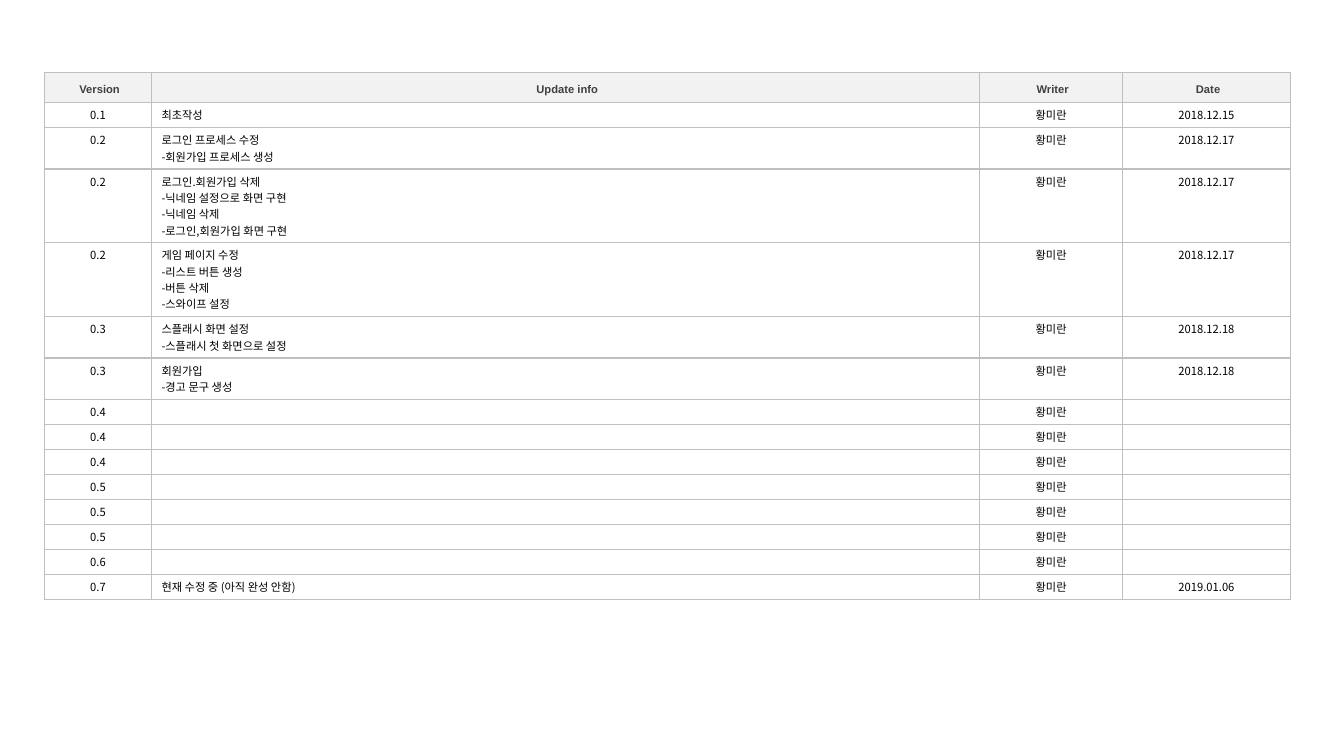
from dataclasses import dataclass

from lxml.etree import SubElement
from pptx import Presentation
from pptx.dml.color import RGBColor
from pptx.enum.text import MSO_ANCHOR as Anchor, PP_ALIGN as Align
from pptx.oxml.ns import qn
from pptx.table import _Cell as Cell
from pptx.util import Cm, Pt

COLORS = {"border": "BFBFBF", "header": "F2F2F2", "title": "404040", "body": "000000"}
BODY_FONT = "Noto Sans CJK KR"
LEFT, TOP = 1.12, 1.83
COLUMN_WIDTHS = [2.7, 20.87, 3.6, 4.23]
HEADER_HEIGHT, ROW_HEIGHT, EXTRA_LINE = 0.76, 0.63, 0.41
TITLES = ["Version", "Update info", "Writer", "Date"]
INFO_COLUMN = TITLES.index("Update info")


@dataclass
class Revision:
    version: str
    info: str = ""
    date: str = ""
    writer: str = "황미란"

    @property
    def values(self) -> list[str]:
        return [self.version, self.info, self.writer, self.date]

    @property
    def height(self) -> float:
        return ROW_HEIGHT + EXTRA_LINE * self.info.count("\n")


REVISIONS = [
    Revision("0.1", "최초작성", "2018.12.15"),
    Revision("0.2", "로그인 프로세스 수정\n-회원가입 프로세스 생성", "2018.12.17"),
    Revision("0.2", "로그인.회원가입 삭제\n-닉네임 설정으로 화면 구현\n-닉네임 삭제\n"
                    "-로그인,회원가입 화면 구현", "2018.12.17"),
    Revision("0.2", "게임 페이지 수정\n-리스트 버튼 생성\n-버튼 삭제\n-스와이프 설정", "2018.12.17"),
    Revision("0.3", "스플래시 화면 설정\n-스플래시 첫 화면으로 설정", "2018.12.18"),
    Revision("0.3", "회원가입\n-경고 문구 생성", "2018.12.18"),
    *(Revision(version) for version in ["0.4"] * 3 + ["0.5"] * 3 + ["0.6"]),
    Revision("0.7", "현재 수정 중 (아직 완성 안함)", "2019.01.06"),
]


def draw_borders(cell: Cell) -> None:
    properties = cell._tc.get_or_add_tcPr()
    for side in ("lnL", "lnR", "lnT", "lnB"):
        line = SubElement(properties, qn(f"a:{side}"), w=str(Pt(1)))
        fill = SubElement(line, qn("a:solidFill"))
        SubElement(fill, qn("a:srgbClr"), val=COLORS["border"])


def set_margins(cell: Cell, side: float, end: float) -> None:
    cell.margin_left = cell.margin_right = Cm(side)
    cell.margin_top = cell.margin_bottom = Cm(end)


def write_text(cell: Cell, text: str, font_name: str, color: str, align: Align, bold: bool) -> None:
    cell.text = text
    for paragraph in cell.text_frame.paragraphs:
        paragraph.alignment = align
        font = paragraph.font
        font.name, font.size, font.bold = font_name, Pt(8), bold
        font.color.rgb = RGBColor.from_string(COLORS[color])
        SubElement(font._element, qn("a:ea"), typeface=font_name)


def fill_header(cell: Cell, title: str) -> None:
    write_text(cell, title, "Arial", "title", Align.CENTER, True)
    set_margins(cell, 0.1, 0.08)
    cell.vertical_anchor = Anchor.MIDDLE
    draw_borders(cell)
    cell.fill.solid()
    cell.fill.fore_color.rgb = RGBColor.from_string(COLORS["header"])
    paragraph = cell.text_frame.paragraphs[0]
    paragraph.line_spacing = Pt(12)
    paragraph._p.get_or_add_pPr().set("marL", str(Cm(0.08)))


def fill_body(cell: Cell, text: str, align: Align) -> None:
    write_text(cell, text, BODY_FONT, "body", align, False)
    set_margins(cell, 0.25, 0.1)
    cell.vertical_anchor = Anchor.TOP
    draw_borders(cell)
    cell.fill.background()


def main() -> None:
    presentation = Presentation()
    presentation.slide_width, presentation.slide_height = Cm(33.87), Cm(19.05)
    slide = presentation.slides.add_slide(presentation.slide_layouts[6])

    heights = [HEADER_HEIGHT] + [revision.height for revision in REVISIONS]
    history = slide.shapes.add_table(
        len(heights), len(TITLES), Cm(LEFT), Cm(TOP), Cm(sum(COLUMN_WIDTHS)), Cm(sum(heights))
    ).table
    history.first_row = history.horz_banding = False
    for column, width in zip(history.columns, COLUMN_WIDTHS):
        column.width = Cm(width)
    for row, height in zip(history.rows, heights):
        row.height = Cm(height)

    for index, title in enumerate(TITLES):
        fill_header(history.cell(0, index), title)
    for row_index, revision in enumerate(REVISIONS, start=1):
        for index, text in enumerate(revision.values):
            align = Align.LEFT if index == INFO_COLUMN else Align.CENTER
            fill_body(history.cell(row_index, index), text, align)

    presentation.save("out.pptx")


if __name__ == "__main__":
    main()
